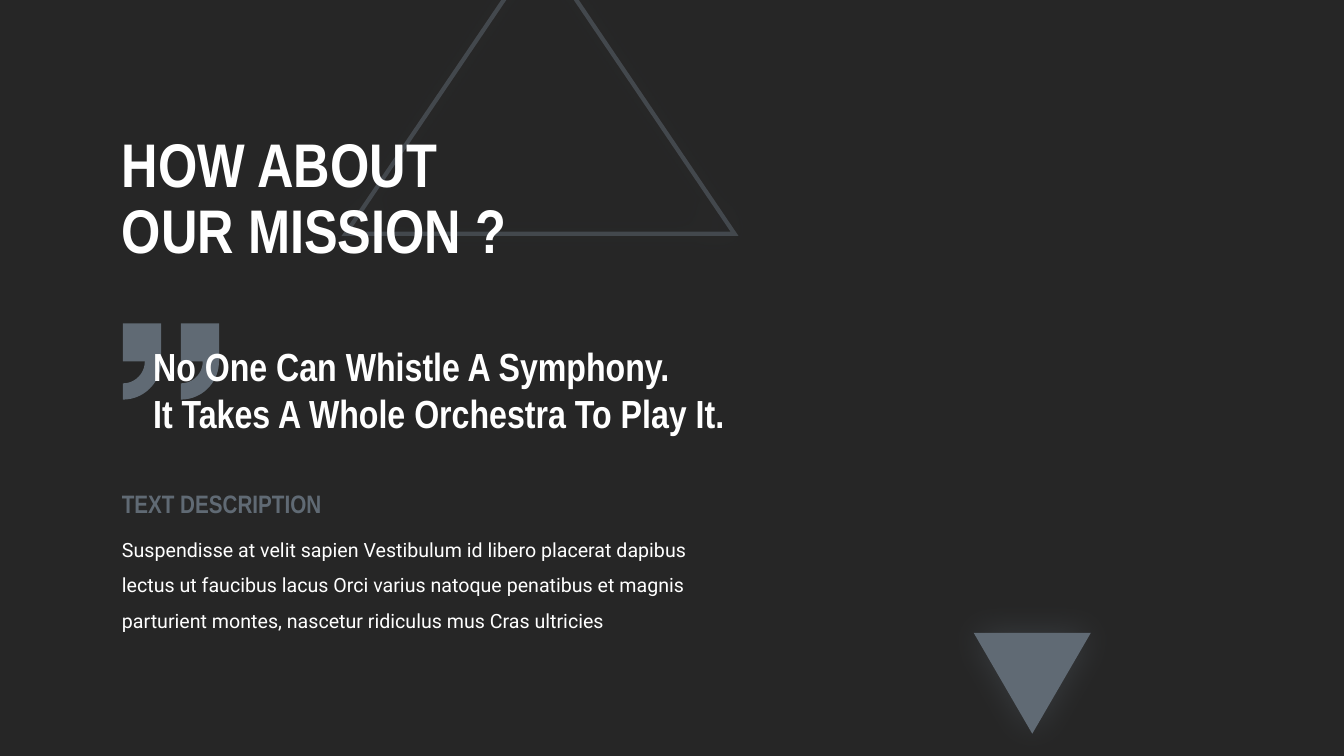
from math import cos, pi, sin

from pptx import Presentation
from pptx.dml.color import RGBColor
from pptx.enum.shapes import MSO_SHAPE as Preset
from pptx.enum.text import MSO_ANCHOR as Anchor, MSO_AUTO_SIZE as AutoSize, PP_ALIGN as Align
from pptx.oxml.ns import qn
from pptx.oxml.xmlchemy import OxmlElement as Element
from pptx.util import Cm, Pt

DARK = RGBColor(0x26, 0x26, 0x26)
SLATE = RGBColor(0x60, 0x6A, 0x74)
WHITE = RGBColor(0xFF, 0xFF, 0xFF)
HEADING_FONT, BODY_FONT = "Arial Narrow", "Roboto"

MISSION = ["HOW ABOUT\vOUR MISSION ?"]
QUOTE = ["No One Can Whistle A Symphony.", "It Takes A Whole Orchestra To Play It."]
DESCRIPTION_HEADING = ["TEXT DESCRIPTION"]
DESCRIPTION = [
    "Suspendisse at velit sapien Vestibulum id libero placerat dapibus "
    "lectus ut faucibus lacus Orci varius natoque penatibus et magnis "
    "parturient montes, nascetur ridiculus mus Cras ultricies"
]

MARGIN = 2.82
MISSION_BOX = (MARGIN, 3.05, 14.27, 4.01)
QUOTE_BOX = (3.61, 8.51, 16.05, 2.64)
HEADING_BOX = (MARGIN, 12.19, 6.22, 1.02)
DESCRIPTION_BOX = (MARGIN, 13.13, 15.95, 2.84)
OUTLINE_TRIANGLE = (8.71, -1.35, 9.8, 7.24)
SOLID_TRIANGLE = (24.54, 15.95, 2.95, 2.54)

MARK_LEFT, MARK_TOP, MARK_PITCH = 3.1, 8.15, 1.46
MARK_SIZE, MARK_HOLLOW, ARC_STEPS = 0.96, 0.55, 24


def place(part, box):
    part.left, part.top, part.width, part.height = map(Cm, box)


def write(part, lines, size, color, font=HEADING_FONT, bold=True, spacing=1.0, anchor=Anchor.TOP):
    frame = part.text_frame
    frame.text = "\n".join(lines)
    frame.word_wrap = True
    frame.auto_size = AutoSize.NONE
    frame.vertical_anchor = anchor
    for paragraph in frame.paragraphs:
        paragraph.alignment = Align.LEFT
        paragraph.line_spacing = spacing
        paragraph.space_before = Pt(0)
        for run in paragraph.runs:
            run.font.name, run.font.size, run.font.bold = font, Pt(size), bold
            run.font.color.rgb = color


def add_alpha(color_element, percent):
    alpha = Element("a:alpha")
    alpha.set("val", str(percent * 1000))
    color_element.append(alpha)


def add_triangle(slide, box):
    triangle = slide.shapes.add_shape(Preset.ISOSCELES_TRIANGLE, *map(Cm, box))
    triangle.shadow.inherit = False
    glow, tint = Element("a:outerShdw"), Element("a:srgbClr")
    glow.set("blurRad", str(Pt(25)))
    glow.set("dist", "0")
    glow.set("algn", "ctr")
    glow.set("rotWithShape", "0")
    tint.set("val", str(SLATE))
    add_alpha(tint, 35)
    glow.append(tint)
    triangle._element.spPr.find(qn("a:effectLst")).append(glow)
    return triangle


def arc(left, center_y, radius, steps):
    angles = [pi / 2 * step / ARC_STEPS for step in steps]
    return [(Cm(left + radius * cos(a)), Cm(center_y + radius * sin(a))) for a in angles]


def add_quote_mark(group, left):
    elbow = MARK_TOP + MARK_SIZE
    inner = arc(left, elbow, MARK_HOLLOW, range(ARC_STEPS + 1))
    outer = arc(left, elbow, MARK_SIZE, range(ARC_STEPS, -1, -1))
    builder = group.shapes.build_freeform(Cm(left), Cm(MARK_TOP), scale=1.0)
    corner = (Cm(left + MARK_SIZE), Cm(MARK_TOP))
    builder.add_line_segments([(Cm(left), Cm(elbow)), *inner, *outer, corner], close=True)
    mark = builder.convert_to_shape()
    mark.shadow.inherit = False
    mark.fill.solid()
    mark.fill.fore_color.rgb = SLATE
    mark.line.fill.background()


def main():
    """Build the mission slide and save it."""
    deck = Presentation()
    deck.slide_width, deck.slide_height = Cm(33.87), Cm(19.05)
    slide = deck.slides.add_slide(deck.slide_layouts[0])
    slide.background.fill.solid()
    slide.background.fill.fore_color.rgb = DARK

    outline = add_triangle(slide, OUTLINE_TRIANGLE)
    outline.fill.background()
    outline.line.width = Pt(3)
    outline.line.color.rgb = SLATE
    stroke = outline._element.spPr.find(qn("a:ln"))
    add_alpha(stroke.find(".//" + qn("a:srgbClr")), 50)
    miter = Element("a:miter")
    miter.set("lim", "800000")
    stroke.append(miter)
    slide.shapes._spTree.insert(2, outline._element)

    solid = add_triangle(slide, SOLID_TRIANGLE)
    solid.fill.solid()
    solid.fill.fore_color.rgb = SLATE
    solid.line.fill.background()
    solid._element.spPr.find(qn("a:xfrm")).set("flipV", "1")

    quote_marks = slide.shapes.add_group_shape()
    for index in range(2):
        add_quote_mark(quote_marks, MARK_LEFT + index * MARK_PITCH)

    mission, description = slide.placeholders
    place(mission, MISSION_BOX)
    write(mission, MISSION, 44, WHITE, spacing=0.9, anchor=Anchor.MIDDLE)
    place(description, DESCRIPTION_BOX)
    write(description, DESCRIPTION, 14, WHITE, BODY_FONT, bold=False, spacing=1.5)

    quote = slide.shapes.add_textbox(*map(Cm, QUOTE_BOX))
    write(quote, QUOTE, 28, WHITE)
    heading = slide.shapes.add_textbox(*map(Cm, HEADING_BOX))
    write(heading, DESCRIPTION_HEADING, 18, SLATE)

    deck.save("out.pptx")


if __name__ == "__main__":
    main()
